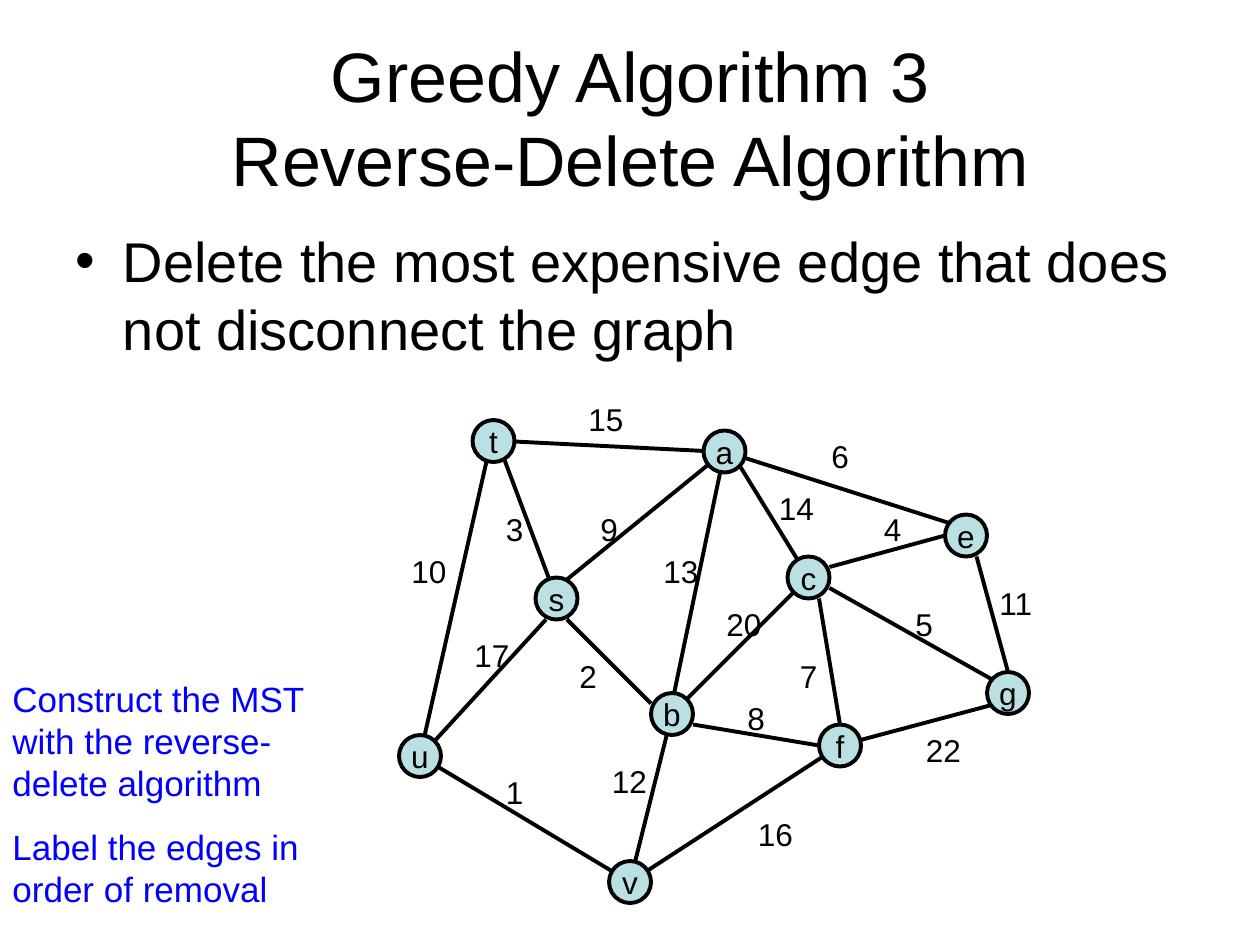
import pptx
import pptx.util
import pptx.dml.color
import pptx.enum.shapes
import pptx.enum.text
import pptx.oxml.ns
from lxml import etree

Inches, Pt = pptx.util.Inches, pptx.util.Pt
RGBColor = pptx.dml.color.RGBColor
PP_ALIGN = pptx.enum.text.PP_ALIGN
MSO_ANCHOR = pptx.enum.text.MSO_ANCHOR
MSO_AUTO_SIZE = pptx.enum.text.MSO_AUTO_SIZE

BLACK = RGBColor(0x00, 0x00, 0x00)
BLUE = RGBColor(0x00, 0x00, 0xFF)
NODE_FILL = RGBColor(0xBB, 0xE0, 0xE3)
FONT = "Arial"
GRID = 12  # graph units per inch
NODE_SIZE = 4  # in graph units

# Top-left corner of each node, in graph units
NODES = {
    "t": (9, 4), "a": (31, 5), "e": (54, 13), "c": (39, 17), "g": (58, 28),
    "f": (42, 33), "b": (26, 30), "s": (15, 19), "u": (2, 34), "v": (22, 46),
}

# Weight, start, end and top-left corner of the label, in graph units
EDGES = [
    ("9", (17, 20), (33, 7), (20, 12)),
    ("6", (33, 7), (55, 14), (42, 5)),
    ("14", (33, 6), (41, 19), (37, 10)),
    ("20", (41, 19), (28, 32), (32, 21)),
    ("2", (18, 23), (26, 31), (18, 26)),
    ("13", (33, 7), (28, 31), (26, 16)),
    ("8", (30, 33), (42, 35), (34, 30)),
    ("7", (42, 21), (44, 33), (39, 26)),
    ("4", (43, 18), (54, 15), (47, 12)),
    ("11", (57, 17), (60, 28), (58, 19)),
    ("5", (43, 20), (59, 29), (50, 21)),
    ("22", (44, 35), (59, 31), (51, 33)),
    ("15", (12, 6), (32, 7), (18.85, 1.5)),
    ("3", (11, 5), (17, 21), (11, 12)),
    ("10", (11, 5), (4, 36), (2, 16)),
    ("17", (5, 35), (16, 23), (8, 24)),
    ("1", (4, 36), (24, 48), (11, 37)),
    ("12", (24, 48), (28, 32), (21.1, 36)),
    ("16", (24, 48), (44, 35), (35, 41)),
]


def add_text(p, text, size, color=BLACK):
    r = p.add_run()
    r.text = text
    r.font.name = FONT
    r.font.size = Pt(size)
    r.font.color.rgb = color


def place(sp, left, top, width, height):
    sp.left, sp.top = Inches(left), Inches(top)
    sp.width, sp.height = Inches(width), Inches(height)


def add_title(s, left, top, width, height):
    sp = s.shapes.title
    place(sp, left, top, width, height)
    tf = sp.text_frame
    tf.auto_size = MSO_AUTO_SIZE.NONE
    tf.vertical_anchor = MSO_ANCHOR.MIDDLE
    p = tf.paragraphs[0]
    p.alignment = PP_ALIGN.CENTER
    add_text(p, "Greedy Algorithm 3", 40)
    p.add_line_break()
    add_text(p, "Reverse-Delete Algorithm", 40)


def add_body(s, left, top, width, height):
    sp = s.placeholders[1]
    place(sp, left, top, width, height)
    tf = sp.text_frame
    tf.auto_size = MSO_AUTO_SIZE.NONE
    p = tf.paragraphs[0]
    p.space_before = Pt(0)
    add_text(p, "Delete the most expensive edge that does not disconnect the graph", 32)


def add_edge(s, start, end):
    line = s.shapes.add_connector(
        pptx.enum.shapes.MSO_CONNECTOR.STRAIGHT,
        *(Inches(v) for v in start + end))
    line.line.color.rgb = BLACK
    line.line.width = Pt(2.25)
    etree.SubElement(line._element.spPr, pptx.oxml.ns.qn("a:effectLst"))


def add_weight(s, text, left, top):
    width = 0.2 + 0.14 * len(text)
    sp = s.shapes.add_textbox(Inches(left), Inches(top), Inches(width), Inches(0.4))
    tf = sp.text_frame
    tf.word_wrap = False
    add_text(tf.paragraphs[0], text, 18)


def add_node(s, name, left, top):
    size = Inches(NODE_SIZE / GRID)
    sp = s.shapes.add_shape(
        pptx.enum.shapes.MSO_SHAPE.OVAL, Inches(left), Inches(top), size, size)
    sp.shadow.inherit = False
    sp.fill.solid()
    sp.fill.fore_color.rgb = NODE_FILL
    sp.line.color.rgb = BLACK
    sp.line.width = Pt(2.25)
    tf = sp.text_frame
    tf.word_wrap = False
    tf.vertical_anchor = MSO_ANCHOR.MIDDLE
    p = tf.paragraphs[0]
    p.alignment = PP_ALIGN.CENTER
    add_text(p, name, 18)


def add_graph(s, left, top):
    def at(point):
        return left + point[0] / GRID, top + point[1] / GRID

    # Edges lie below the weights and the nodes
    for _, start, end, _ in EDGES:
        add_edge(s, at(start), at(end))
    for weight, _, _, corner in EDGES:
        add_weight(s, weight, *at(corner))
    for name, corner in NODES.items():
        add_node(s, name, *at(corner))


def add_task(s, left, top, width, height):
    sp = s.shapes.add_textbox(Inches(left), Inches(top), Inches(width), Inches(height))
    tf = sp.text_frame
    tf.word_wrap = True
    p = tf.paragraphs[0]
    add_text(p, "Construct the MST with the reverse-delete algorithm", 20, BLUE)
    p = tf.add_paragraph()
    p.space_before = Pt(12.5)
    add_text(p, "Label the edges in order of removal", 20, BLUE)


def main():
    prs = pptx.Presentation()
    prs.slide_width, prs.slide_height = Inches(10), Inches(7.5)
    s = prs.slides.add_slide(prs.slide_layouts[1])
    add_title(s, 0.5, 0.3, 9, 1.25)
    add_body(s, 0.5, 1.75, 9, 4.95)
    add_graph(s, 3, 3)
    add_task(s, 0, 5.33, 2.58, 1.94)
    prs.save("out.pptx")


if __name__ == "__main__":
    main()
